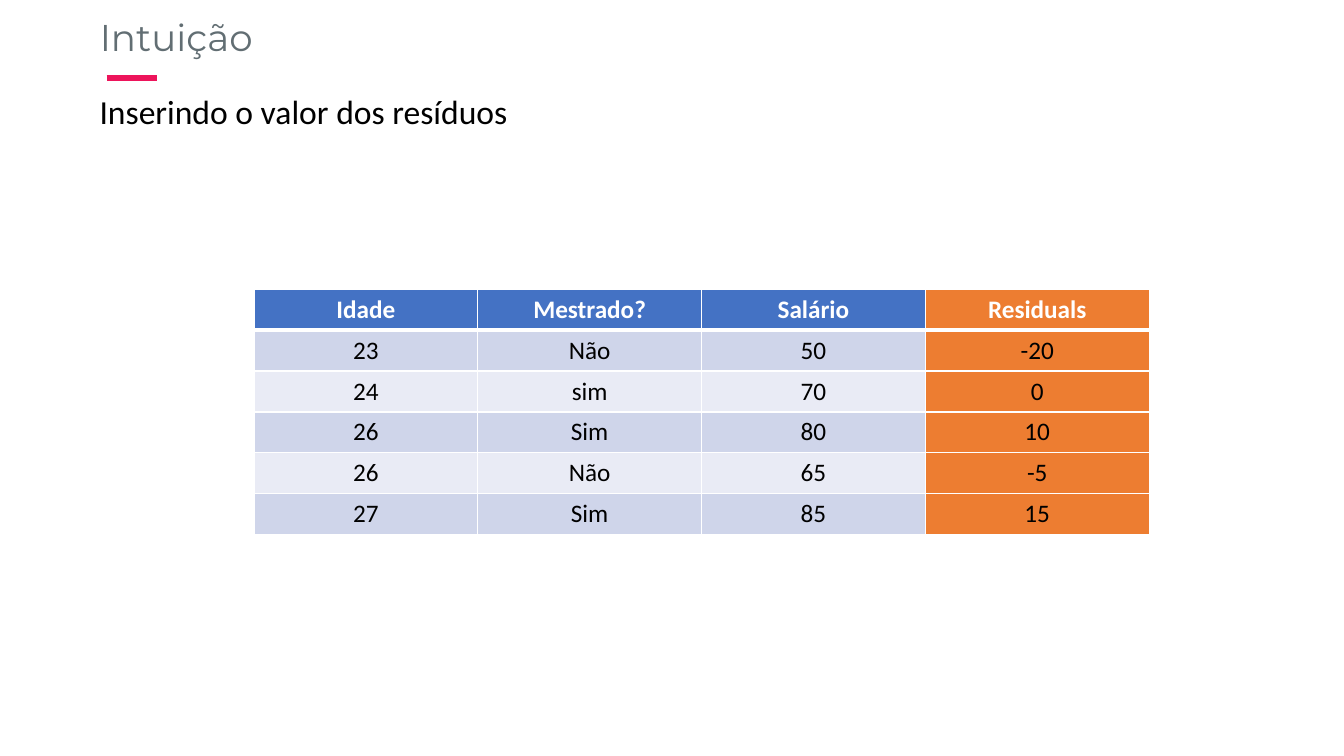
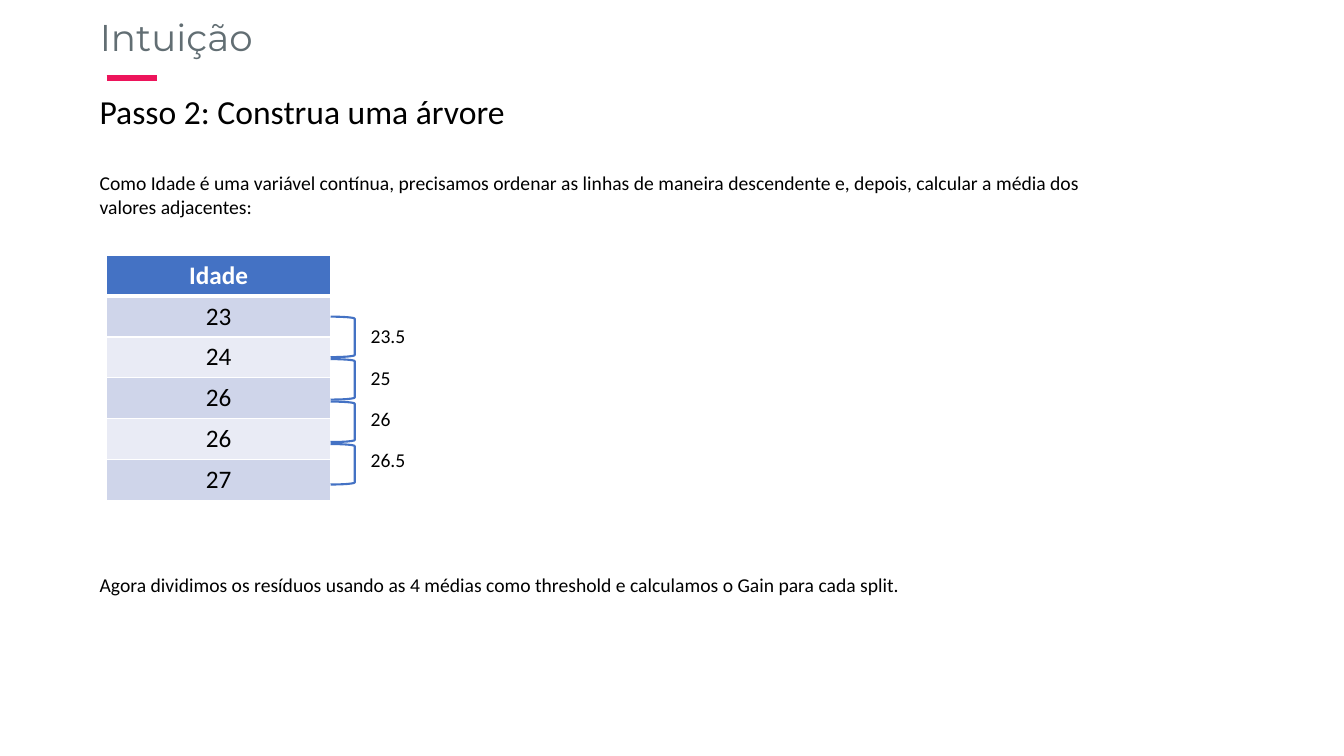
"""Build two slides on residuals and the age split candidates of a tree."""
import pptx
import pptx.dml.color
import pptx.enum.shapes
import pptx.enum.text
import pptx.oxml
import pptx.oxml.ns
import pptx.util

Cm, Pt = pptx.util.Cm, pptx.util.Pt
PP_ALIGN = pptx.enum.text.PP_ALIGN

TITLE = "Intuição"
RESIDUALS_HEADING = "Inserindo o valor dos resíduos"
RESIDUALS = [
    ("Idade", "Mestrado?", "Salário", "Residuals"),
    ("23", "Não", "50", "-20"),
    ("24", "sim", "70", "0"),
    ("26", "Sim", "80", "10"),
    ("26", "Não", "65", "-5"),
    ("27", "Sim", "85", "15"),
]
TREE_HEADING = "Passo 2: Construa uma árvore"
TREE_INTRO = (
    "Como Idade é uma variável contínua, precisamos ordenar as linhas de maneira "
    "descendente e, depois, calcular a média dos valores adjacentes:"
)
AGES = [row[:1] for row in RESIDUALS]
AVERAGES = ["23.5", "25", "26", "26.5"]
TREE_CLOSING = (
    "Agora dividimos os resíduos usando as 4 médias como threshold "
    "e calculamos o Gain para cada split."
)

BLACK, WHITE, GREY, PINK = "000000", "FFFFFF", "626E73", "ED145B"
BLUE, ORANGE = "4472C4", "ED7D31"
BANDS = ("E9EBF5", "CFD5EA")
LEFT, INDENT = 2.26, 2.69
COL_W, ROW_H = 5.64, 1.03


def rgb(color):
    return pptx.dml.color.RGBColor.from_string(color)


def write(tf, text, size=14, font="Calibri", color=BLACK, bold=False, align=PP_ALIGN.LEFT):
    p = tf.paragraphs[0]
    p.alignment = align
    r = p.add_run()
    r.text = text
    r.font.size, r.font.name, r.font.bold = Pt(size), font, bold
    r.font.color.rgb = rgb(color)


def fit(tf):
    tf.word_wrap = True
    tf.vertical_anchor = pptx.enum.text.MSO_ANCHOR.TOP
    tf.auto_size = pptx.enum.text.MSO_AUTO_SIZE.SHAPE_TO_FIT_TEXT


def add_text(s, text, x, y, w, h, **style):
    tf = s.shapes.add_textbox(Cm(x), Cm(y), Cm(w), Cm(h)).text_frame
    fit(tf)
    write(tf, text, **style)


def add_slide(prs, heading):
    s = prs.slides.add_slide(prs.slide_layouts[5])
    sp = s.shapes.title
    sp.left, sp.top, sp.width, sp.height = Cm(LEFT), Cm(0.23), Cm(16.92), Cm(1.4)
    fit(sp.text_frame)
    write(sp.text_frame, TITLE, size=26.6, font="Montserrat", color=GREY)

    rule = s.shapes.add_connector(
        pptx.enum.shapes.MSO_CONNECTOR.STRAIGHT, Cm(INDENT), Cm(1.96), Cm(3.96), Cm(1.96))
    rule.line.color.rgb = rgb(PINK)
    rule.line.width = Pt(4)
    rule._element.spPr.append(pptx.oxml.parse_xml(
        f'<a:effectLst {pptx.oxml.ns.nsdecls("a")}/>'))

    add_text(s, heading, LEFT, 2.16, 30.84, 1.27, size=24)
    return s


def set_borders(cell, top, bottom):
    tcPr = cell._tc.get_or_add_tcPr()
    for side, width in (("L", 1), ("R", 1), ("T", top), ("B", bottom)):
        tcPr.append(pptx.oxml.parse_xml(
            f'<a:ln{side} {pptx.oxml.ns.nsdecls("a")} w="{Pt(width)}"><a:solidFill>'
            f'<a:srgbClr val="{WHITE}"/></a:solidFill></a:ln{side}>'))


def add_table(s, rows, x, y, highlight=None):
    n_rows, n_cols = len(rows), len(rows[0])
    table = s.shapes.add_table(
        n_rows, n_cols, Cm(x), Cm(y), Cm(COL_W * n_cols), Cm(ROW_H * n_rows)).table
    for col in table.columns:
        col.width = Cm(COL_W)
    for i, values in enumerate(rows):
        table.rows[i].height = Cm(ROW_H)
        header = i == 0
        for j, value in enumerate(values):
            cell = table.cell(i, j)
            set_borders(cell, top=3 if i == 1 else 1, bottom=3 if header else 1)
            fill = ORANGE if j == highlight else BLUE if header else BANDS[i % 2]
            cell.fill.solid()
            cell.fill.fore_color.rgb = rgb(fill)
            write(cell.text_frame, value, size=18, bold=header,
                  color=WHITE if header else BLACK, align=PP_ALIGN.CENTER)


def add_bracket(s, x, y):
    sp = s.shapes.add_shape(
        pptx.enum.shapes.MSO_SHAPE.RIGHT_BRACKET, Cm(x), Cm(y), Cm(0.61), Cm(1.02))
    sp.shadow.inherit = False
    sp.fill.background()
    sp.line.color.rgb = rgb(BLUE)
    sp.line.width = Pt(1.5)


def main():
    prs = pptx.Presentation()
    prs.slide_width, prs.slide_height = Cm(33.87), Cm(19.05)

    s = add_slide(prs, RESIDUALS_HEADING)
    add_table(s, RESIDUALS, 6.4, 7.29, highlight=3)

    s = add_slide(prs, TREE_HEADING)
    add_text(s, TREE_INTRO, LEFT, 4.19, 26.04, 1.45)
    add_table(s, AGES, INDENT, 6.43)
    for i, average in enumerate(AVERAGES):
        add_bracket(s, INDENT + COL_W, 7.98 + 1.07 * i)
        add_text(s, average, 9.09, 8.05 + 1.04 * i, 1.63, 0.86)
    add_text(s, TREE_CLOSING, LEFT, 14.3, 26.04, 0.86)

    prs.save("out.pptx")


if __name__ == "__main__":
    main()
